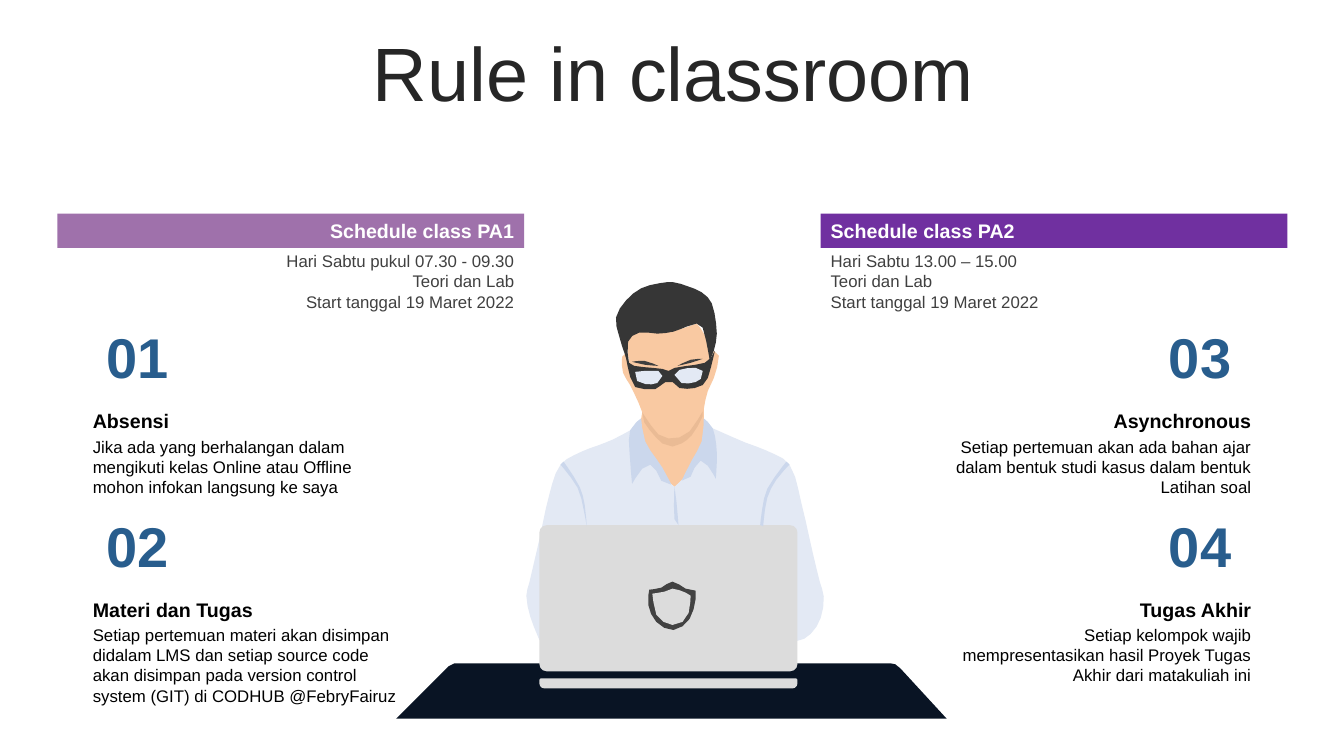
from dataclasses import dataclass
from math import dist

from pptx import Presentation
from pptx.dml.color import RGBColor
from pptx.enum.shapes import MSO_SHAPE
from pptx.enum.text import MSO_ANCHOR, MSO_AUTO_SIZE, PP_ALIGN
from pptx.util import Inches, Pt

LEFT, RIGHT, CENTER = PP_ALIGN.LEFT, PP_ALIGN.RIGHT, PP_ALIGN.CENTER
TOP, MIDDLE = MSO_ANCHOR.TOP, MSO_ANCHOR.MIDDLE
GROW = MSO_AUTO_SIZE.SHAPE_TO_FIT_TEXT
RECT, ROUND = MSO_SHAPE.RECTANGLE, MSO_SHAPE.ROUNDED_RECTANGLE
BASE = MSO_SHAPE.ROUND_2_SAME_RECTANGLE


@dataclass(frozen=True)
class Theme:
    font: str = "Arial"
    huge: int = 54
    large: int = 40
    head: int = 14
    body: int = 12
    title: str = "262626"
    white: str = "FFFFFF"
    black: str = "000000"
    note: str = "404040"
    number: str = "285D8D"
    mauve: str = "9F71AB"
    purple: str = "7030A0"
    desk: str = "091424"
    skin: str = "F9C9A2"
    shade: str = "EABB95"
    hair: str = "363636"
    brow: str = "3F3F3F"
    shirt: str = "E3E9F4"
    fold: str = "CBD7EC"
    metal: str = "DCDCDC"
    badge: str = "424242"


T = Theme()

# Outlines in hundredths of an inch; the grid's corner is ORIGIN
ORIGIN = (393, 280)
DESK = ["883,658 888,659 893,663 939,713 393,713 445,661 451,658"]
FACE = ["708,348 704,358 700,334 691,321 668,328 634,329 623,338 625,365 620,351 617,354 "
        "618,370 625,382 637,409 636,415 630,442 645,460 669,483 688,464 700,435 "
        "698,415 698,406 702,388 708,375 713,353"]
HAIR = ["620,352 625,366 623,339 634,330 652,331 668,329 681,324 691,321 697,325 "
        "704,358 708,348 711,331 706,301 696,290 682,284 668,280 "
        "654,281 636,286 621,298 611,315 614,333"]
FRAME = ["709,348 705,355 699,360 669,365 663,368 657,366 "
         "629,363 624,360 620,350 625,374 630,384 639,386 650,386 660,379 667,379 "
         "674,385 689,385 697,382 702,375"]
SHIRT = ["813,577 806,548 795,500 783,461 760,447 739,439 707,425 686,465 "
         "669,483 659,474 642,447 625,427 608,436 593,442 577,448 "
         "556,461 545,490 535,535 525,578 522,591 526,612 535,635 790,636 "
         "804,629 814,613 817,592"]
FOLDS = ["669,483 671,498 673,521 669,515",
         "780,458 783,461 770,476 761,494 757,522 754,521 756,505 761,485",
         "559,458 575,483 580,501 582,522 579,506 573,484 556,461",
         "698,415 707,425 711,449 710,475 702,462 695,457 689,464 685,473 676,477 "
         "686,457 696,438",
         "636,415 640,438 657,464 666,481 656,477 651,467 645,461 637,465 "
         "627,480 625,456 625,427"]
CHIN = ["697,413 686,432 676,440 667,443 657,440 639,419 637,409 653,431 "
        "663,435 674,434 684,428 697,408"]
SHIELD = ["690,594 684,614 668,625 651,617 643,600 644,585 656,583 667,577 "
          "680,584 690,586"]
INNER = ["685,591 683,608 677,617 667,620 658,617 651,610 647,589 "
         "659,587 667,584 680,588"]
LENSES = ["690,365 697,368 695,376 690,379 676,380 669,372 674,367",
          "653,368 657,373 652,380 640,381 632,378 630,369"]
BROWS = ["672,363 685,357 697,356 685,360", "627,359 639,358 653,363 640,362"]


def style(frame, lines, size, color, align=LEFT, bold=False, anchor=TOP, pad=0.1, grow=True):
    frame.word_wrap = True
    frame.text = lines
    frame.vertical_anchor = anchor
    frame.margin_left = frame.margin_right = Inches(pad)
    if grow:
        frame.auto_size = GROW
    for para in frame.paragraphs:
        para.alignment = align
        for run in para.runs:
            font = run.font
            font.name, font.size, font.bold = T.font, Pt(size), bold
            font.color.rgb = RGBColor.from_string(color)


def label(slide, box, lines, size, color, **look):
    area = slide.shapes.add_textbox(*map(Inches, box))
    style(area.text_frame, lines, size, color, **look)
    return area.text_frame


def paint(shape, color):
    shape.shadow.inherit = False
    shape.fill.solid()
    shape.fill.fore_color.rgb = RGBColor.from_string(color)
    shape.line.fill.background()
    return shape


def block(slide, kind, box, color):
    return paint(slide.shapes.add_shape(kind, *map(Inches, box)), color)


def handle(prev, here, after):
    """Direction of the curve at a point; none at a sharp corner."""
    (ax, ay), (bx, by), (cx, cy) = prev, here, after
    before, behind = dist(prev, here), dist(here, after)
    turn = ((bx - ax) * (cx - bx) + (by - ay) * (cy - by)) / (before * behind)
    span = dist(prev, after)
    return (0, 0) if turn < 0.5 else ((cx - ax) / span, (cy - ay) / span)


def smooth(points):
    """Round the longer sides of a closed outline with cubic curves."""
    count = len(points)
    ways = [handle(points[i - 1], points[i], points[(i + 1) % count]) for i in range(count)]
    curve = []
    for i, start in enumerate(points):
        j = (i + 1) % count
        end, reach = points[j], dist(start, points[j]) / 3
        bent = any(ways[i] + ways[j])
        steps = min(3, 1 + int(reach / 4)) if bent else 1
        for k in range(steps):
            t = k / steps
            u = 1 - t
            curve.append(tuple(
                u ** 3 * a + 3 * u * u * t * (a + v * reach)
                + 3 * u * t * t * (b - w * reach) + t ** 3 * b
                for a, b, v, w in zip(start, end, ways[i], ways[j])))
    return curve


def outline(slide, box, paths, color, curved=True):
    pen = None
    for path in paths:
        points = [tuple(map(int, pair.split(","))) for pair in path.split()]
        if curved:
            points = smooth(points)
        spots = [tuple(Inches(edge + (value - zero) / 100)
                       for edge, value, zero in zip(box, point, ORIGIN)) for point in points]
        if pen is None:
            pen = slide.shapes.build_freeform(*spots[0], scale=1.0)
        else:
            pen.move_to(*spots[0])
        pen.add_line_segments(spots[1:], close=True)
    paint(pen.convert_to_shape(), color)


def heading(slide, box, text):
    frame = label(slide, box, text, T.huge, T.title, align=CENTER, anchor=MIDDLE, grow=False)
    frame.paragraphs[0].line_spacing = 0.9
    frame.paragraphs[0].space_before = Pt(10)


def schedule(slide, box, title, lines, color, align):
    x, y, w = box
    bar = block(slide, RECT, (x, y, w, 0.34), color)
    style(bar.text_frame, title, T.head, T.white, align=align, bold=True)
    label(slide, (x, y + 0.32, w, 0.71), lines, T.body, T.note, align=align)


def rule(slide, box, number, title, text, align):
    x, y, w = box
    side = x + 0.16 if align == LEFT else x + w - 1.18
    label(slide, (side, y, 0.96, 0.77), number, T.large, T.number,
          align=align, bold=True, anchor=MIDDLE)
    label(slide, (x, y + 1.13, w, 0.71), text, T.body, T.black, align=align, pad=0.12)
    label(slide, (x, y + 0.86, w, 0.34), title, T.head, T.black,
          align=align, bold=True, pad=0.12)


def worker(slide, box):
    x, y = box
    outline(slide, box, DESK, T.desk, curved=False)
    for paths, color in ((FACE, T.skin), (HAIR, T.hair), (FRAME, T.hair), (SHIRT, T.shirt)):
        outline(slide, box, paths, color)
    # Laptop lid and base
    lid = block(slide, ROUND, (x + 1.42, y + 2.41, 2.56, 1.45), T.metal)
    lid.adjustments[0] = 0.05
    base = block(slide, BASE, (x + 1.42, y + 3.93, 2.56, 0.1), T.metal)
    base.adjustments[0], base.adjustments[1] = 0.2, 0.5
    for paths, color in ((FOLDS, T.fold), (CHIN, T.shade), (SHIELD, T.badge),
                         (LENSES, T.shirt), (INNER, T.metal), (BROWS, T.brow)):
        outline(slide, box, paths, color)


def main():
    deck = Presentation()
    deck.slide_width, deck.slide_height = Inches(13.33), Inches(7.5)
    slide = deck.slides.add_slide(deck.slide_layouts[6])
    heading(slide, (0.35, 0.37, 12.66, 0.79), "Rule in classroom")

    # Class times
    place = "\nTeori dan Lab\nStart tanggal 19 Maret 2022"
    schedule(slide, (0.57, 2.12, 4.63), "Schedule class PA1",
             "Hari Sabtu pukul 07.30 - 09.30" + place, T.mauve, RIGHT)
    schedule(slide, (8.14, 2.12, 4.63), "Schedule class PA2",
             "Hari Sabtu 13.00 – 15.00" + place, T.purple, LEFT)

    # Four rules, two to a column
    rules = [
        ("Absensi", "Jika ada yang berhalangan dalam mengikuti kelas Online atau Offline "
         "mohon infokan langsung ke saya"),
        ("Materi dan Tugas", "Setiap pertemuan materi akan disimpan didalam LMS dan setiap "
         "source code akan disimpan pada version control system (GIT) di CODHUB @FebryFairuz"),
        ("Asynchronous", "Setiap pertemuan akan ada bahan ajar dalam bentuk studi kasus "
         "dalam bentuk Latihan soal"),
        ("Tugas Akhir", "Setiap kelompok wajib mempresentasikan hasil Proyek Tugas Akhir "
         "dari matakuliah ini"),
    ]
    for i, (title, text) in enumerate(rules):
        col, row = divmod(i, 2)
        rule(slide, ((0.8, 9.21)[col], 3.15 + 1.87 * row, 3.32), f"{i + 1:02}",
             title, text, (LEFT, RIGHT)[col])

    worker(slide, (3.93, 2.8))
    deck.save("out.pptx")


if __name__ == "__main__":
    main()
